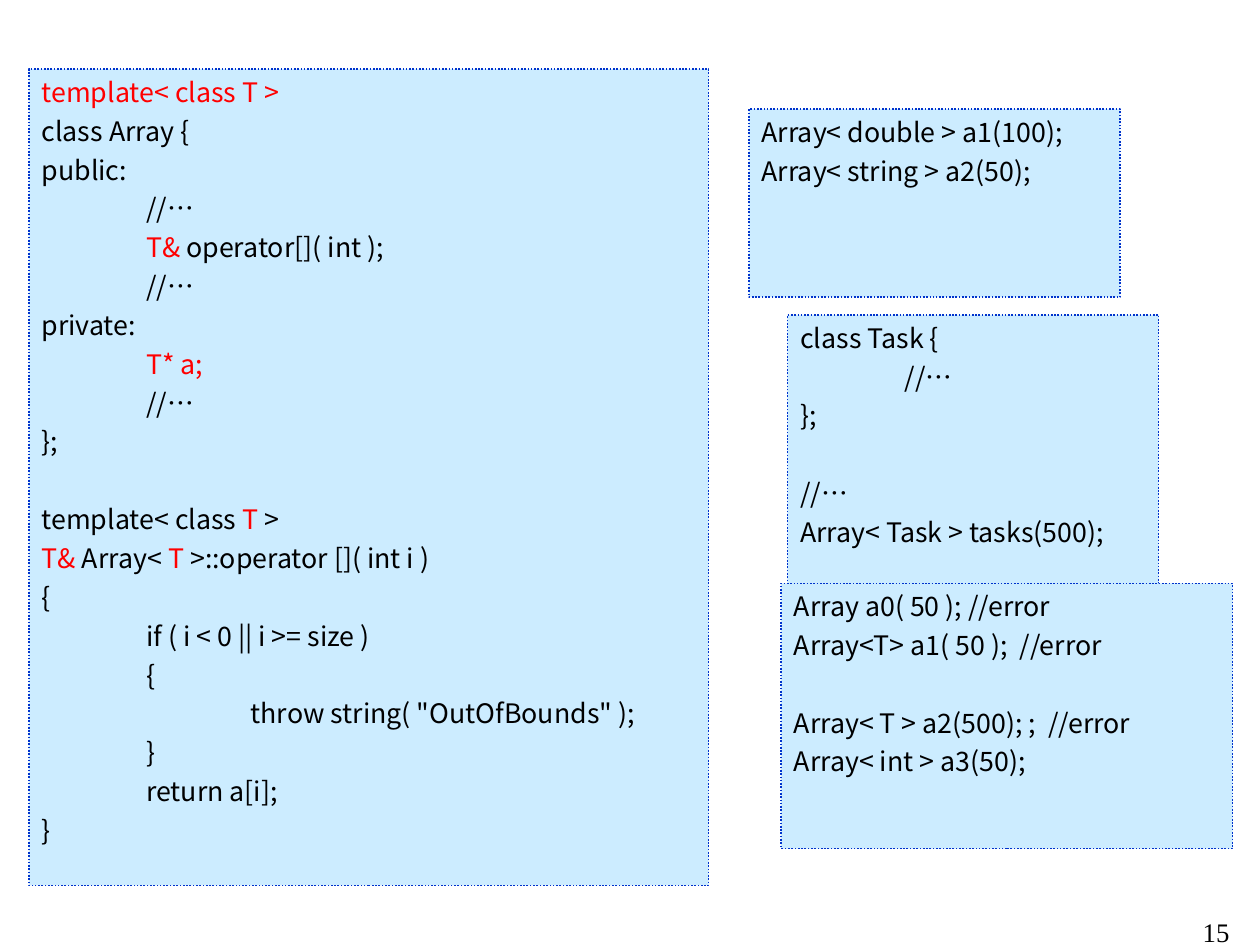
from dataclasses import dataclass

from lxml import etree
from pptx import Presentation
from pptx import util as u
from pptx.dml.color import RGBColor
from pptx.enum import dml, shapes, text
from pptx.oxml import ns


@dataclass(frozen=True)
class Theme:
    panel: RGBColor = RGBColor(0xCC, 0xEC, 0xFF)
    border: RGBColor = RGBColor(0x00, 0x33, 0xCC)
    ink: RGBColor = RGBColor(0x00, 0x00, 0x00)
    accent: RGBColor = RGBColor(0xFF, 0x00, 0x00)
    code_font: str = "Noto Sans CJK KR"
    number_font: str = "Times New Roman"
    size: float = 12
    line_height: float = 14.4
    line_gap: float = 3
    border_width: float = 0.75
    tab: float = 0.65


THEME = Theme()

# Text between a pair of ~ marks is highlighted.
ARRAY_TEMPLATE = """~template< class T >~
class Array {
public:
\t//…
\t~T&~ operator[]( int );
\t//…
private:
\t~T* a;~
\t//…
};

template< class ~T~ >
~T&~ Array< ~T~ >::operator []( int i )
{
\tif ( i < 0 || i >= size )
\t{
\t\tthrow string( "OutOfBounds" );
\t}
\treturn a[i];
}"""

BASIC_ARRAYS = """Array< double > a1(100);
Array< string > a2(50);"""

TASK_ARRAY = """class Task {
\t//…
};

//…
Array< Task > tasks(500);"""

ERROR_CASES = """Array a0( 50 ); //error
Array<T> a1( 50 );  //error

Array< T > a2(500); ;  //error
Array< int > a3(50);"""

PANELS = [
    ((0.18, 0.43, 4.23, 5.08), ARRAY_TEMPLATE),
    ((4.66, 0.68, 2.31, 1.17), BASIC_ARRAYS),
    ((4.9, 1.96, 2.31, 1.69), TASK_ARRAY),
    ((4.86, 3.63, 2.81, 1.65), ERROR_CASES),
]


def set_frame(tf):
    tf.word_wrap = True
    tf.vertical_anchor = text.MSO_ANCHOR.TOP
    tf.margin_left = tf.margin_right = u.Inches(0.08)
    tf.margin_top = tf.margin_bottom = u.Inches(0.04)


def add_run(p, content, font, color):
    r = p.add_run()
    r.text = content
    r.font.name = font
    r.font.size = u.Pt(THEME.size)
    r.font.color.rgb = color


def add_tabs(p, levels):
    tabs = etree.SubElement(p._p.get_or_add_pPr(), ns.qn("a:tabLst"))
    for level in range(1, levels + 1):
        position = u.Inches(THEME.tab * level)
        etree.SubElement(tabs, ns.qn("a:tab"), pos=str(position), algn="l")


def write_code(tf, code):
    """Write one paragraph per code line; an empty line becomes space before the next."""
    gap = 0
    p = tf.paragraphs[0]
    for index, line in enumerate(code.split("\n")):
        if not line:
            gap += THEME.line_height + THEME.line_gap
            continue
        if index:
            p = tf.add_paragraph()
        add_tabs(p, 2)
        p.alignment = text.PP_ALIGN.LEFT
        p.line_spacing = u.Pt(THEME.line_height)
        p.space_before = u.Pt(gap)
        for i, part in enumerate(line.split("~")):
            if part:
                add_run(p, part, THEME.code_font, THEME.accent if i % 2 else THEME.ink)
        gap = THEME.line_gap


def add_code_panel(s, box, code):
    sp = s.shapes.add_shape(shapes.MSO_SHAPE.RECTANGLE, *map(u.Inches, box))
    sp.shadow.inherit = False
    sp.fill.solid()
    sp.fill.fore_color.rgb = THEME.panel
    sp.line.color.rgb = THEME.border
    sp.line.width = u.Pt(THEME.border_width)
    sp.line.dash_style = dml.MSO_LINE.ROUND_DOT
    set_frame(sp.text_frame)
    write_code(sp.text_frame, code)


def add_slide_number(s, box, number):
    tf = s.shapes.add_textbox(*map(u.Inches, box)).text_frame
    set_frame(tf)
    p = tf.paragraphs[0]
    p.alignment = text.PP_ALIGN.RIGHT
    add_run(p, number, THEME.number_font, THEME.ink)


def main():
    prs = Presentation()
    prs.slide_width, prs.slide_height = u.Inches(7.84), u.Inches(5.88)
    s = prs.slides.add_slide(prs.slide_layouts[6])
    add_slide_number(s, (5.77, 5.66, 1.96, 0.41), "15")
    for box, code in PANELS:
        add_code_panel(s, box, code)
    prs.save("out.pptx")


if __name__ == "__main__":
    main()
